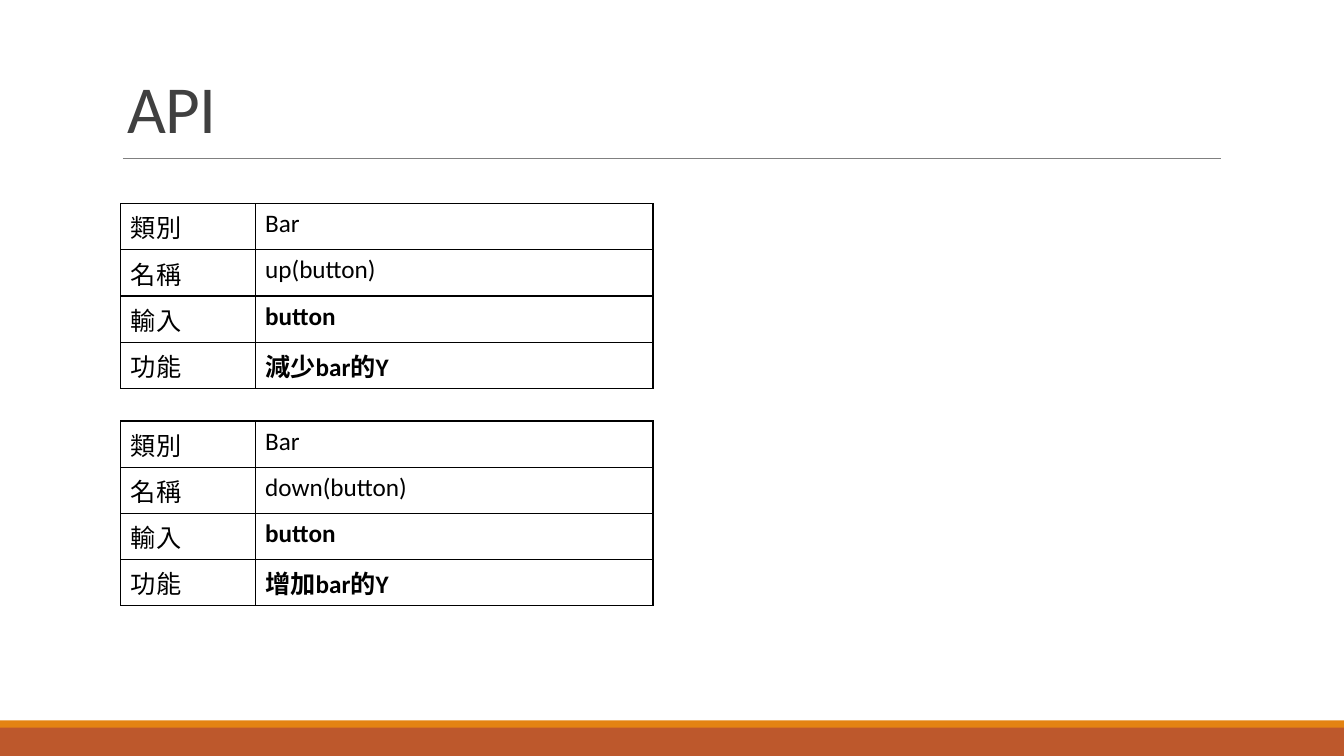
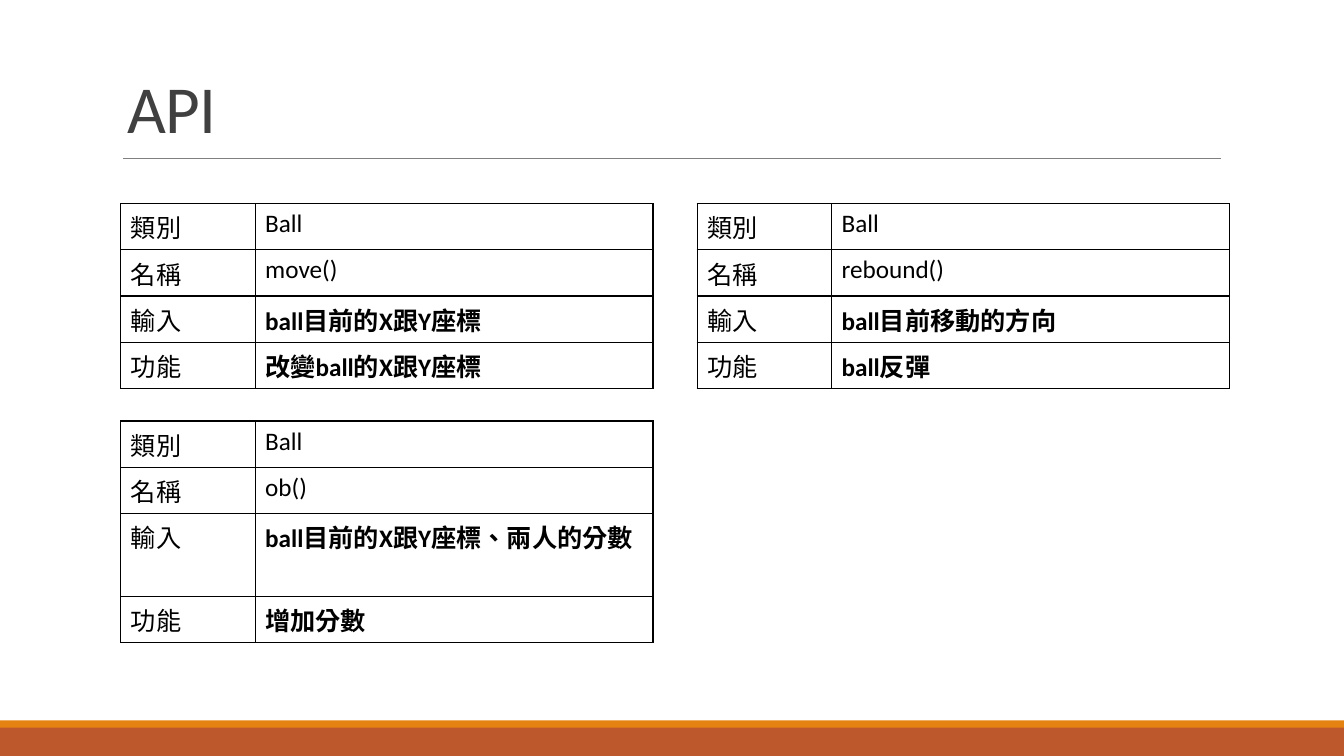
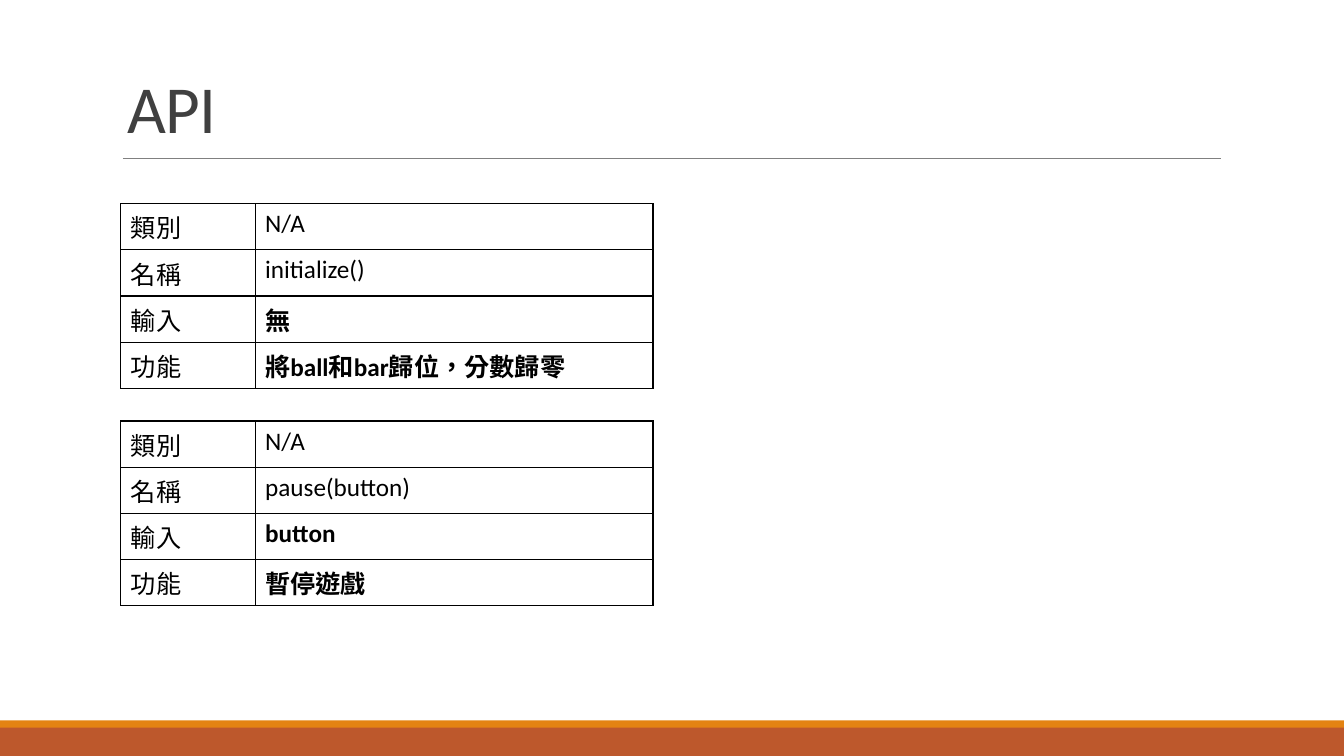
from dataclasses import dataclass
from typing import NamedTuple, Optional

from lxml import etree
from pptx import Presentation
from pptx.dml.color import RGBColor
from pptx.enum.shapes import MSO_CONNECTOR, MSO_SHAPE
from pptx.enum.text import MSO_ANCHOR
from pptx.oxml.ns import qn
from pptx.slide import Slide
from pptx.table import _Cell
from pptx.text.text import TextFrame
from pptx.util import Emu, Pt

RECT = MSO_SHAPE.RECTANGLE
LINE = MSO_CONNECTOR.STRAIGHT
BOTTOM = MSO_ANCHOR.BOTTOM

WIDE, HIGH = 1280, 720
LEFT, TOP = 115, 194
STEP_X, STEP_Y = 549, 207
COLS = (128, 379)
ROW, EXTRA = 44, 35
LABELS = ("類別", "名稱", "輸入", "功能")


@dataclass(frozen=True)
class Theme:
    font: str = "Calibri"
    lang: str = "zh-TW"
    title: str = "404040"
    ink: str = "000000"
    paper: str = "FFFFFF"
    rule: str = "808080"
    rust: str = "BD582C"
    amber: str = "E48312"
    big: int = 48
    body: int = 18
    tight: int = -50
    thin: float = 0.5
    edge: float = 1


THEME = Theme()


class Band(NamedTuple):
    top: int
    high: int
    color: str


class Call(NamedTuple):
    col: int
    row: int
    kind: str
    name: str
    takes: str
    does: str
    lines: int = 1


BANDS = (Band(692, 28, THEME.rust), Band(686, 7, THEME.amber))

DECK = (
    (
        Call(0, 0, "Bar", "up(button)", "button", "減少bar的Y"),
        Call(0, 1, "Bar", "down(button)", "button", "增加bar的Y"),
    ),
    (
        Call(0, 0, "Ball", "move()", "ball目前的X跟Y座標", "改變ball的X跟Y座標"),
        Call(0, 1, "Ball", "ob()", "ball目前的X跟Y座標、兩人的分數", "增加分數", lines=2),
        Call(1, 0, "Ball", "rebound()", "ball目前移動的方向", "ball反彈"),
    ),
    (
        Call(0, 0, "N/A", "initialize()", "無", "將ball和bar歸位，分數歸零"),
        Call(0, 1, "N/A", "pause(button)", "button", "暫停遊戲"),
    ),
)


def px(num: int) -> Emu:
    return Emu(num * 9525)


def rgb(code: str) -> RGBColor:
    return RGBColor.from_string(code)


def write(
    frame: TextFrame,
    text: str,
    *,
    size: int = THEME.body,
    color: str = THEME.ink,
    bold: bool = False,
    space: int = 0,
    lead: Optional[float] = None,
) -> None:
    para = frame.paragraphs[0]
    para.line_spacing = lead
    run = para.add_run()
    run.text = text
    run.font.name = THEME.font
    run.font.size = Pt(size)
    run.font.bold = bold
    run.font.color.rgb = rgb(color)
    props = run._r.get_or_add_rPr()
    props.set("lang", THEME.lang)
    if space:
        props.set("spc", str(space))


def add_frame(slide: Slide, title: str) -> None:
    for band in BANDS:
        shape = slide.shapes.add_shape(RECT, 0, px(band.top), px(WIDE), px(band.high))
        shape.shadow.inherit = False
        shape.fill.solid()
        shape.fill.fore_color.rgb = rgb(band.color)
        shape.line.fill.background()
    rule = slide.shapes.add_connector(LINE, px(117), px(151), px(1163), px(151))
    rule.line.color.rgb = rgb(THEME.rule)
    rule.line.width = Pt(THEME.thin)
    etree.SubElement(rule._element.spPr, qn("a:effectLst"))
    frame = slide.shapes.add_textbox(px(112), 0, px(1056), px(145)).text_frame
    frame.word_wrap = True
    frame.vertical_anchor = BOTTOM
    write(
        frame, title, size=THEME.big, color=THEME.title, space=THEME.tight, lead=0.85
    )


def add_edge(cell: _Cell) -> None:
    props = cell._tc.get_or_add_tcPr()
    for side in ("lnL", "lnR", "lnT", "lnB"):
        line = etree.SubElement(props, qn(f"a:{side}"), w=str(Pt(THEME.edge)))
        fill = etree.SubElement(line, qn("a:solidFill"))
        etree.SubElement(fill, qn("a:srgbClr"), val=THEME.ink)


def add_call(slide: Slide, call: Call) -> None:
    highs = (ROW, ROW, ROW + EXTRA * (call.lines - 1), ROW)
    table = slide.shapes.add_table(
        len(LABELS),
        len(COLS),
        px(LEFT + call.col * STEP_X),
        px(TOP + call.row * STEP_Y),
        px(sum(COLS)),
        px(sum(highs)),
    ).table
    table.first_row = False
    table.horz_banding = False
    for col, wide in zip(table.columns, COLS):
        col.width = px(wide)
    for row, high in zip(table.rows, highs):
        row.height = px(high)
    values = (call.kind, call.name, call.takes, call.does)
    for row, pair in enumerate(zip(LABELS, values)):
        for col, text in enumerate(pair):
            cell = table.cell(row, col)
            add_edge(cell)
            cell.fill.solid()
            cell.fill.fore_color.rgb = rgb(THEME.paper)
            write(cell.text_frame, text, bold=col == 1 and row >= 2)


def main() -> None:
    deck = Presentation()
    deck.slide_width = px(WIDE)
    deck.slide_height = px(HIGH)
    blank = deck.slide_layouts[6]
    for calls in DECK:
        slide = deck.slides.add_slide(blank)
        add_frame(slide, "API")
        for call in calls:
            add_call(slide, call)
    deck.save("out.pptx")


if __name__ == "__main__":
    main()
